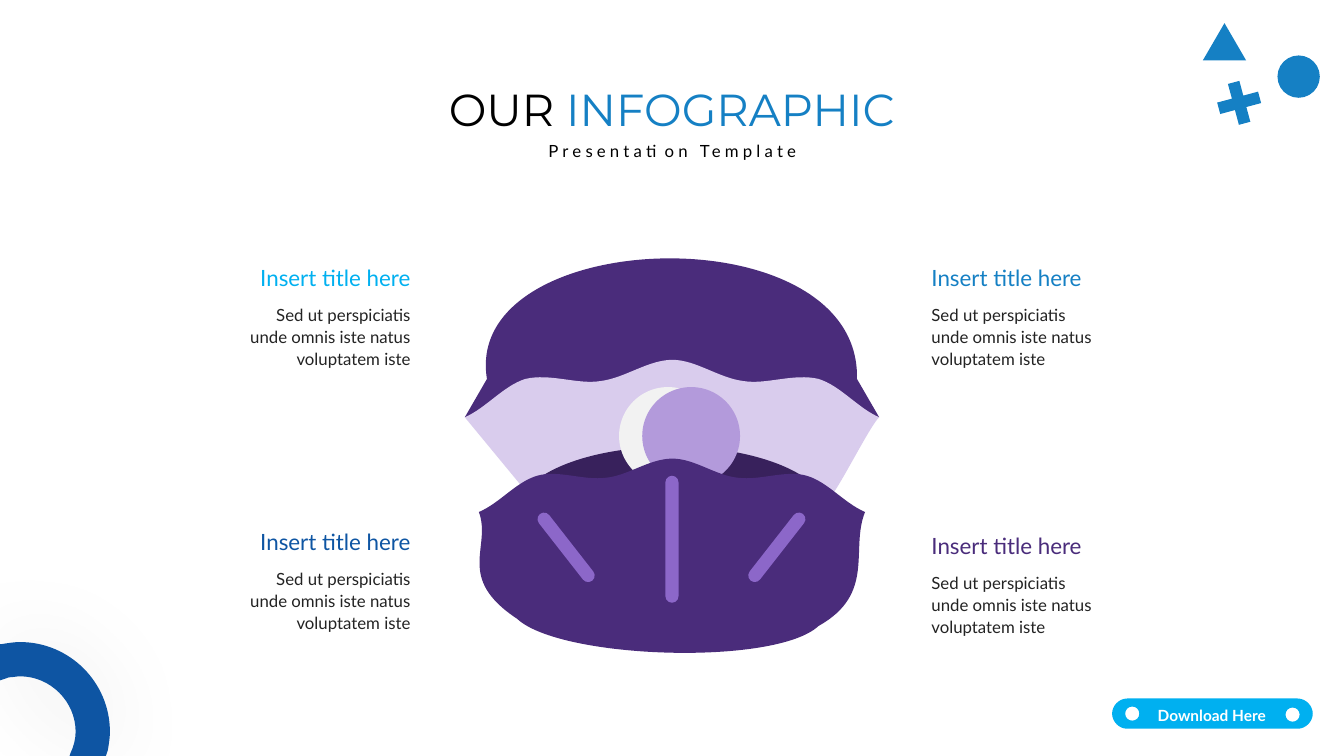
from lxml import etree
from pptx import Presentation
from pptx.dml.color import RGBColor
from pptx.enum import shapes, text
from pptx.oxml import ns

PX = 9144
PT = 12700
BLACK = RGBColor(0x00, 0x00, 0x00)
WHITE = RGBColor(0xFF, 0xFF, 0xFF)
INK = RGBColor(0x23, 0x23, 0x23)
SKY = RGBColor(0x00, 0xB0, 0xF0)
BLUE = RGBColor(0x15, 0x80, 0xC4)
NAVY = RGBColor(0x0E, 0x55, 0xA3)
PLUM = RGBColor(0x4A, 0x2C, 0x7B)
DARK = RGBColor(0x38, 0x21, 0x5C)
LILAC = RGBColor(0xD9, 0xCC, 0xED)
PEARL = RGBColor(0xB3, 0x9A, 0xDB)
VIOLET = RGBColor(0x8C, 0x67, 0xC9)
MIST = RGBColor(0xF2, 0xF2, 0xF2)

LEFT, RIGHT = text.PP_ALIGN.LEFT, text.PP_ALIGN.RIGHT
CENTER = text.PP_ALIGN.CENTER
KIND = shapes.MSO_SHAPE


def paint(shape, color):
    shape.shadow.inherit = False
    shape.fill.solid()
    shape.fill.fore_color.rgb = color
    shape.line.fill.background()
    return shape


def place(owner, kind, box, color, turn=0):
    shape = owner.shapes.add_shape(kind, *[n * PX for n in box])
    shape.rotation = turn
    return paint(shape, color)


def outline(owner, x, y, box, loops, color):
    left, top, wide, high = box
    a, b = x + left, y + top
    pen = owner.shapes.build_freeform(a, b, scale=PX)
    pen.add_line_segments([(a + wide, b), (a + wide, b + high), (a, b + high)])
    shape = pen.convert_to_shape()
    route = shape._element.spPr.find(".//" + ns.qn("a:path"))
    for step in list(route):
        route.remove(step)

    def add(tag, points):
        step = etree.SubElement(route, ns.qn(tag))
        for p, q in points:
            etree.SubElement(step, ns.qn("a:pt"), x=str(p - left), y=str(q - top))

    for loop in loops:
        for i, part in enumerate(loop):
            add("a:lnTo" if i else "a:moveTo", part[:1])
            for k in range(1, len(part), 3):
                add("a:cubicBezTo", part[k:k + 3])
        add("a:close", [])
    return paint(shape, color)


def style(run, font, size, color, bold=False):
    run.font.name = font
    run.font.size = size * PT
    run.font.color.rgb = color
    run.font.bold = bold


def label(owner, box, words, size, color, align, space=1.0, wrap=True, bold=False):
    frame = owner.shapes.add_textbox(*[n * PX for n in box]).text_frame
    frame.word_wrap = wrap
    frame.text = words
    para = frame.paragraphs[0]
    para.alignment = align
    para.line_spacing = space
    run = para.runs[0]
    style(run, "Lato", size, color, bold)
    return run


def header(slide, x, y):
    title = slide.shapes.title
    title.left, title.top, title.width, title.height = [
        n * PX for n in (x, y, 577, 64)]
    frame = title.text_frame
    frame.auto_size = text.MSO_AUTO_SIZE.NONE
    frame.vertical_anchor = text.MSO_ANCHOR.TOP
    para = frame.paragraphs[0]
    para.alignment = CENTER
    for words, color in (("OUR ", BLACK), ("INFOGRAPHIC", BLUE)):
        run = para.add_run()
        run.text = words
        style(run, "Montserrat", 32, color)
    run = label(slide, (x + 125, y + 55, 328, 32), "Presentation Template",
                12, BLACK, CENTER, 1.2)
    run._r.get_or_add_rPr().set("spc", "300")


def rim(half, width):
    return half + [(width - a, b) for a, b in reversed(half[:-1])]


def shell(slide, x, y, width=411):
    group = slide.shapes.add_group_shape()
    lid = [(411, 158)], [(389, 120), (393, -46), (-3, -33), (22, 120)], [(0, 158)]
    outline(group, x, y, (0, 0, 411, 158), [lid], PLUM)

    top = rim([(411, 158), (390, 149), (373, 127), (351, 120), (326, 114),
               (299, 126), (276, 122), (252, 119), (229, 101), (206, 101)], width)
    side = [(361, 239), (370, 231), (402, 166), (411, 158)]
    outline(group, x, y, (0, 101, 411, 143), [(top, [(71, 244)], side)], LILAC)

    base = rim([(351, 230), (326, 236), (299, 225), (276, 228),
                (252, 231), (229, 249), (206, 249)], width)
    arch = [(61, 230), (81, 205), (138, 187), (206, 187),
            (273, 187), (330, 205), (351, 230)]
    outline(group, x, y, (61, 187, 290, 62), [(base, arch)], DARK)

    for left, color in ((153, MIST), (176, PEARL)):
        place(group, KIND.OVAL, (x + left, y + 128, 97, 97), color)

    lip = rim([(397, 252), (376, 243), (360, 222), (339, 216), (318, 210),
               (293, 221), (271, 218), (249, 216), (228, 199), (206, 199)], width)
    bowl = [(14, 252), (27, 287), (-10, 317), (52, 358), (95, 398),
            (308, 405), (351, 365), (408, 333), (382, 289), (397, 252)]
    outline(group, x, y, (14, 199, 383, 193), [(lip, bowl)], PLUM)

    for left, up, tall, turn in ((199, 216, 126, 0), (303, 245, 84, 38), (94, 245, 84, -38)):
        bar = place(group, KIND.ROUNDED_RECTANGLE, (x + left, y + up, 13, tall), VIOLET, turn)
        bar.adjustments[0] = 0.5


def note(slide, x, y, width, color, align):
    start = x + width - 170 if align == RIGHT else x
    label(slide, (start, y, 170, 37), "Insert title here", 16, color, align, wrap=False)
    label(slide, (x, y + 38, width, 76),
          "Sed ut perspiciatis unde omnis iste natus voluptatem iste",
          12, INK, align, 1.1)


def corner(slide, x, y):
    group = slide.shapes.add_group_shape()
    place(group, KIND.OVAL, (x + 74, y + 32, 42, 42), BLUE)
    place(group, KIND.ISOSCELES_TRIANGLE, (x, y, 43, 37), BLUE)
    plus = place(group, KIND.CROSS, (x + 15, y + 58, 42, 42), BLUE, 345)
    plus.adjustments[0] = 0.36


def ring(slide, x, y):
    outer = [(20, 0), (69, 0), (109, 40), (109, 89),
             (109, 95), (108, 101), (107, 107)]
    inner = [(70, 110), (73, 104), (75, 96), (75, 89), (75, 59),
             (50, 34), (20, 34), (16, 34), (13, 35), (9, 35)]
    cap = [(2, 2), (8, 1), (14, 0), (20, 0)]
    loop = outer, [(105, 113)], [(69, 113)], inner, [(0, 38)], [(0, 2)], cap
    band = outline(slide, x, y, (0, 0, 109, 113), [loop], NAVY)
    glow = band._element.spPr.find(ns.qn("a:effectLst"))
    cast = etree.SubElement(glow, ns.qn("a:outerShdw"), blurRad=str(65 * PT),
                            dist="0", dir="0", algn="ctr", rotWithShape="0")
    tint = etree.SubElement(cast, ns.qn("a:srgbClr"), val="000000")
    etree.SubElement(tint, ns.qn("a:alpha"), val="7000")


def hole(x, y, r=7, k=4):
    return [[(x, y - r), (x - k, y - r), (x - r, y - k), (x - r, y),
             (x - r, y + k), (x - k, y + r), (x, y + r),
             (x + k, y + r), (x + r, y + k), (x + r, y),
             (x + r, y - k), (x + k, y - r), (x, y - r)]]


def button(slide, x, y):
    group = slide.shapes.add_group_shape()
    right = [(184, 0), (192, 0), (199, 7), (199, 15), (199, 23), (192, 30), (184, 30)]
    left = [(15, 30), (7, 30), (0, 23), (0, 15), (0, 7), (7, 0), (15, 0)]
    outline(group, x, y, (0, 0, 199, 30),
            [hole(179, 16), hole(20, 15), (right, left)], SKY)
    label(group, (x + 27, y - 1, 144, 30), "Download Here",
          11, WHITE, CENTER, 1.2, bold=True)


def main():
    deck = Presentation()
    deck.slide_width, deck.slide_height = 1333 * PX, 750 * PX
    slide = deck.slides.add_slide(deck.slide_layouts[5])
    header(slide, 378, 76)
    shell(slide, 461, 256)
    note(slide, 235, 257, 182, SKY, RIGHT)
    note(slide, 235, 519, 182, NAVY, RIGHT)
    note(slide, 914, 257, 190, BLUE, LEFT)
    note(slide, 914, 523, 190, PLUM, LEFT)
    corner(slide, 1193, 23)
    ring(slide, 0, 637)
    button(slide, 1103, 693)
    deck.save("out.pptx")


if __name__ == "__main__":
    main()
